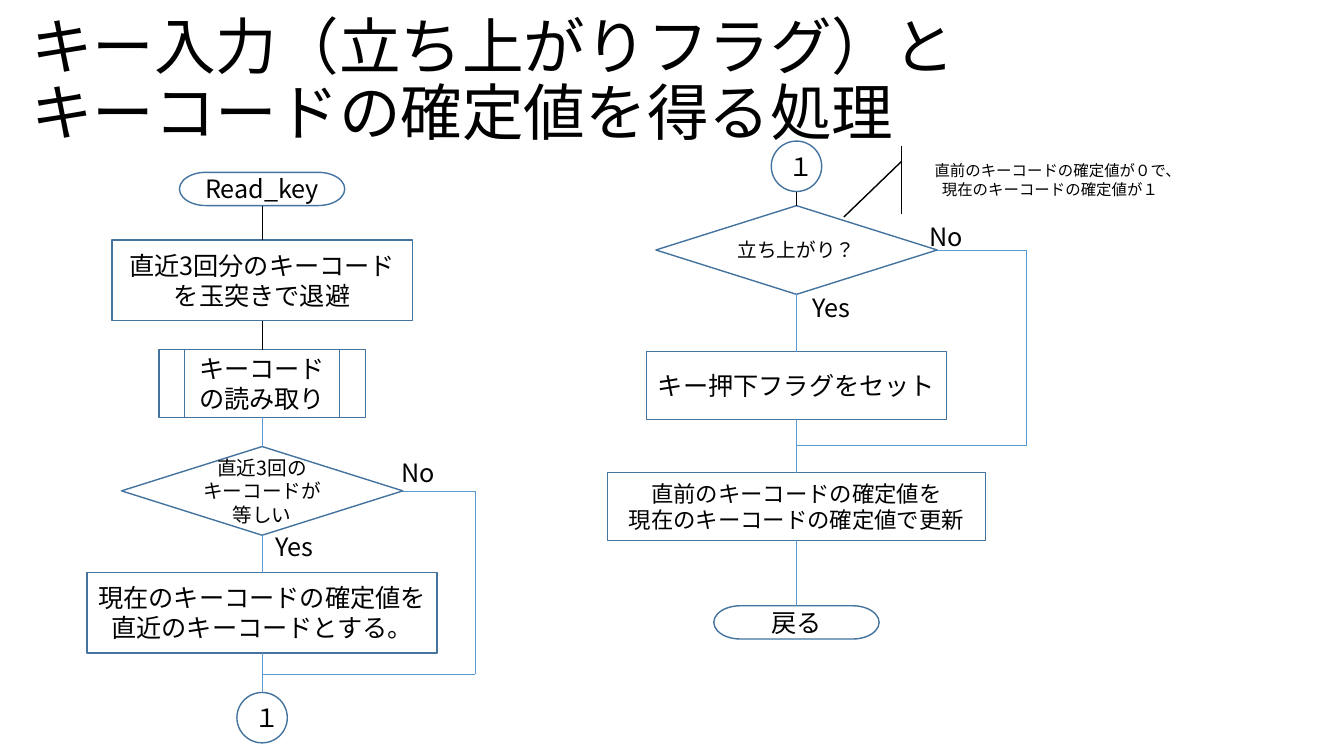
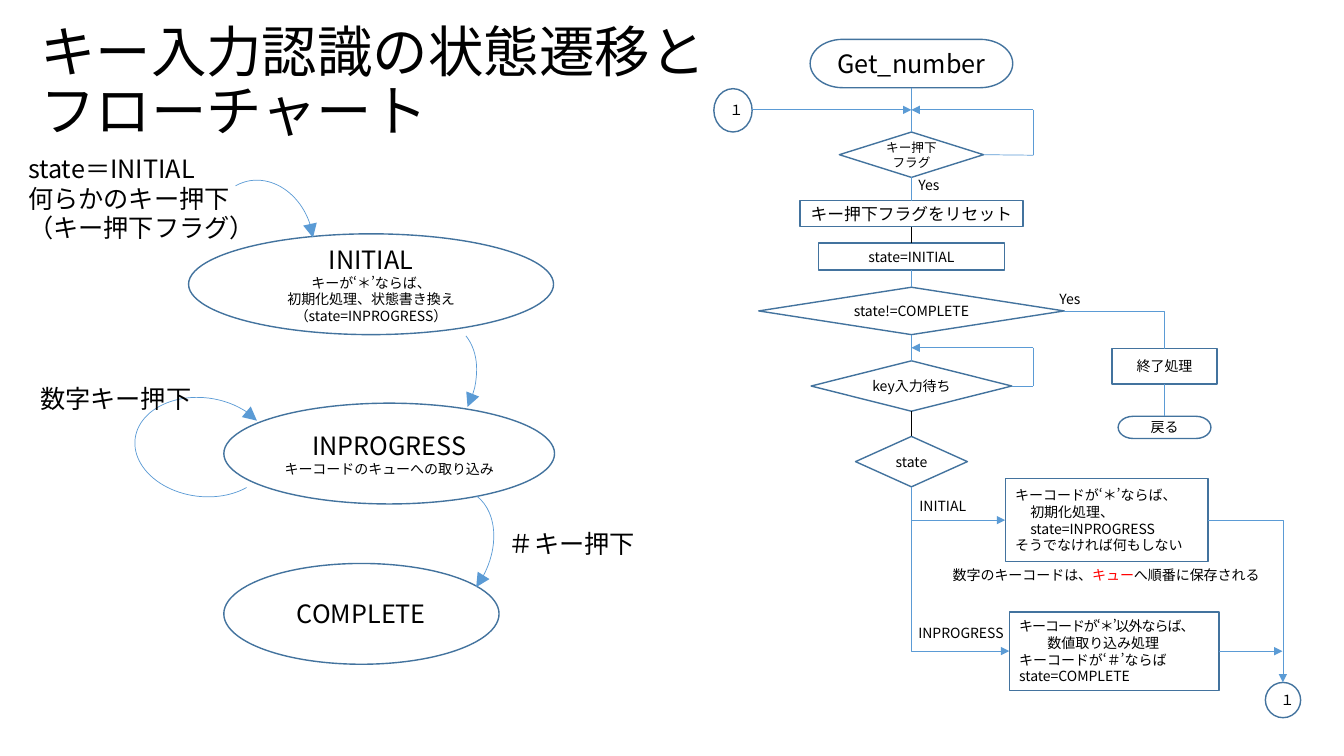
from collections import namedtuple
from dataclasses import dataclass
from itertools import pairwise

from lxml.etree import SubElement
from pptx import Presentation
from pptx.dml.color import RGBColor
from pptx.enum.shapes import MSO_CONNECTOR as Wire, MSO_SHAPE as Kind
from pptx.enum.text import MSO_ANCHOR as Anchor, MSO_AUTO_SIZE as Auto, PP_ALIGN as Align
from pptx.oxml.ns import qn
from pptx.util import Pt

SCALE = 9144
Box = namedtuple("Box", "x y w h")


class Theme:
    font, lang = "Noto Sans CJK JP", "ja-JP"
    ink, edge, wire, hot = "000000", "43739E", "5B9BD5", "FF0000"
    head, head_two = 44, 39.6
    main, mid, small, label = 18, 16, 14, 12
    note, fine, tiny = 11, 10, 9
    lead, tight = 1.19, 1.07
    border, thin = 1, 0.5


@dataclass(frozen=True)
class Line:
    text: str
    size: float = 0
    dent: int = 0
    hot: str = ""
    gap: int = 0


T = Theme
ROUND, STEP = Kind.FLOWCHART_TERMINATOR, Kind.FLOWCHART_PROCESS
CALL, TEST = Kind.FLOWCHART_PREDEFINED_PROCESS, Kind.FLOWCHART_DECISION
RING = Kind.FLOWCHART_CONNECTOR
TOP, LEFT, BASE, RIGHT = range(4)


def px(*vals):
    return [round(val * SCALE) for val in vals]


def apply(obj, vals):
    for key, val in vals.items():
        setattr(obj, key, val)


def add_run(para, text, size, tint, gap):
    run = para.add_run()
    run.text = text
    apply(run.font, {"size": Pt(size), "name": T.font})
    run.font.color.rgb = RGBColor.from_string(tint)
    props = run.font._element
    props.set("lang", T.lang)
    if gap:
        props.set("spc", str(gap))
    SubElement(props, qn("a:ea"), typeface=T.font)


def write(frame, text, size, align, lead=T.lead):
    lines = text.split("\n") if isinstance(text, str) else text
    for pos, line in enumerate(lines):
        if isinstance(line, str):
            line = Line(line)
        para = frame.add_paragraph() if pos else frame.paragraphs[0]
        pts = line.size or size
        apply(para, {"alignment": align, "line_spacing": Pt(round(pts * lead, 1))})
        if line.dent:
            props = para._p.get_or_add_pPr()
            props.set("marL", str(line.dent * SCALE))
            props.set("indent", "0")
        for part in line.text.partition(line.hot) if line.hot else [line.text]:
            add_run(para, part, pts, T.hot if part == line.hot else T.ink, line.gap)


def stroke(item, tint, width, head=False, tail=False, tip="med"):
    item.line.color.rgb = RGBColor.from_string(tint)
    item.line.width = Pt(width)
    line = item._element.spPr.find(qn("a:ln"))
    for tag, on in (("a:headEnd", head), ("a:tailEnd", tail)):
        if on:
            SubElement(line, qn(tag), type="triangle", w=tip, len=tip)


class Pen:
    def __init__(self, slide, box):
        self.pool = slide.shapes
        self.box = box

    def spot(self, x, y):
        return px(self.box.x + x, self.box.y + y)

    def plain(self, kind, x, y, w, h):
        item = self.pool.add_shape(kind, *self.spot(x, y), *px(w, h))
        item.shadow.inherit = False
        item.fill.background()
        return item

    def shape(self, kind, x, y, w, h, text="", size=T.main, align=Align.CENTER, tint=T.edge):
        item = self.plain(kind, x, y, w, h)
        stroke(item, tint, T.border)
        apply(item.text_frame, {"word_wrap": True, "vertical_anchor": Anchor.MIDDLE})
        write(item.text_frame, text, size, align)
        return item

    def text(self, x, y, w, h, text, size=T.main):
        item = self.pool.add_textbox(*self.spot(x, y), *px(w, h))
        apply(item.text_frame, {"word_wrap": False, "auto_size": Auto.SHAPE_TO_FIT_TEXT})
        write(item.text_frame, text, size, Align.LEFT)

    def arc(self, x, y, w, h, turn, start, stop):
        item = self.plain(Kind.ARC, x, y, w, h)
        item.rotation = turn
        item.adjustments[0], item.adjustments[1] = start, stop
        stroke(item, T.wire, T.thin, tail=True, tip="lg")

    def wire(self, start, stop, kind=Wire.STRAIGHT, root=None, goal=None, tint=T.wire, **tips):
        item = self.pool.add_connector(kind, *self.spot(*start), *self.spot(*stop))
        if root:
            item.begin_connect(*root)
        if goal:
            item.end_connect(*goal)
        stroke(item, tint, T.thin, **tips)
        SubElement(item._element.spPr, qn("a:effectLst"))
        return item

    def elbow(self, root, goal, **tips):
        item = self.wire((0, 0), (0, 0), Wire.ELBOW, root, goal, **tips)
        item._element.spPr.find(qn("a:prstGeom")).set("prst", "bentConnector2")

    def route(self, root, points, tip=False):
        legs = list(pairwise(points))
        for pos, (start, stop) in enumerate(legs):
            self.wire(start, stop, root=None if pos else root,
                      tail=tip and pos == len(legs) - 1)

    def column(self, axis, nodes, tints):
        items = [self.shape(kind, axis - w / 2, y, w, h, text, size)
                 for kind, y, w, h, text, size in nodes]
        for pos, tint in enumerate(tints):
            kind, y, _, h, *_ = nodes[pos]
            root = None if kind == RING else (items[pos], BASE)
            self.wire((axis, y + h), (axis, nodes[pos + 1][1]),
                      root=root, goal=(items[pos + 1], TOP), tint=tint)
        return items


def title(slide, box, text, size):
    item = slide.shapes.add_textbox(*px(*box))
    apply(item.text_frame, {"word_wrap": True, "vertical_anchor": Anchor.MIDDLE})
    write(item.text_frame, text, size, Align.LEFT, T.tight)


def read_flow(slide, box):
    pen = Pen(slide, box)
    axis = 180
    items = pen.column(axis, [
        (ROUND, 1, 164, 33, "Read_key", T.main),
        (STEP, 68, 298, 80, "直近3回分のキーコードを玉突きで退避", T.main),
        (CALL, 177, 205, 67, "キーコードの読み取り", T.main),
        (TEST, 273, 279, 88, "直近3回の\nキーコードが等しい", T.small),
        (STEP, 398, 347, 80, "現在のキーコードの確定値を直近のキーコードとする。", T.main),
        (RING, 517, 50, 50, "１", T.main),
    ], [T.ink] * 2 + [T.wire] * 3)
    pen.route((items[3], RIGHT), [(320, 317), (391, 317), (391, 499), (axis, 499)])
    pen.text(308, 279, 53, 40, "No")
    pen.text(183, 352, 63, 40, "Yes")


def rise_flow(slide, box):
    pen = Pen(slide, box)
    axis = 190
    items = pen.column(axis, [
        (RING, 0, 50, 50, "１", T.main),
        (TEST, 64, 279, 88, "立ち上がり？", T.small),
        (STEP, 209, 298, 67, "キー押下フラグをセット", T.main),
        (STEP, 329, 375, 67, "直前のキーコードの確定値を\n現在のキーコードの確定値で更新", T.mid),
        (ROUND, 461, 164, 33, "戻る", T.main),
    ], [T.ink] + [T.wire] * 3)
    hint = pen.shape(Kind.LINE_CALLOUT_1_ACCENT_BAR, 312, 5, 259, 67,
                     "直前のキーコードの確定値が０で、\n現在のキーコードの確定値が１", T.note, tint=T.ink)
    for pos, val in enumerate((0.23, -0.07, 1.05, -0.29)):
        hint.adjustments[pos] = val
    pen.route((items[1], RIGHT), [(330, 108), (418, 108), (418, 302), (axis, 302)])
    pen.text(312, 75, 53, 40, "No")
    pen.text(196, 145, 63, 40, "Yes")


def states(slide, box):
    pen = Pen(slide, box)
    for x, y, w, name, *more in (
        (169, 92, 362, "INITIAL", "キーが‘＊’ならば、", "初期化処理、状態書き換え", "（state=INPROGRESS）"),
        (204, 260, 328, "INPROGRESS", "キーコードのキューへの取り込み"),
        (204, 419, 273, "COMPLETE"),
    ):
        lines = [Line(name, T.main)] + [Line(text, T.fine) for text in more]
        pen.shape(Kind.OVAL, x, y, w, 100, lines)
    for arc in (
        (352, 176, 98, 135, 28.5, 169.31, 213.48),
        (369, 341, 98, 135, 28.5, 164.84, 8.78),
        (134, 236, 98, 135, 277.3, 75.2, 34.03),
        (192, 38, 100, 120, 342.9, 156.59, 8.78),
    ):
        pen.arc(*arc)
    pen.text(0, 7, 247, 101, "state＝INITIAL\n何らかのキー押下\n（キー押下フラグ）")
    pen.text(477, 379, 146, 40, "＃キー押下")
    pen.text(12, 236, 172, 40, "数字キー押下")


def get_flow(slide, box):
    pen = Pen(slide, box)
    axis, turn, exit_x = 204, 325, 572
    _, wait, _, _, test, key, pick = pen.column(axis, [
        (ROUND, 9, 201, 48, "Get_number", T.main),
        (TEST, 101, 143, 45, "キー押下フラグ", T.tiny),
        (STEP, 169, 221, 26, "キー押下フラグをリセット", T.label),
        (STEP, 211, 185, 27, "state=INITIAL", T.fine),
        (TEST, 255, 303, 47, "state!=COMPLETE", T.fine),
        (TEST, 328, 199, 50, "key入力待ち", T.fine),
        (TEST, 403, 111, 50, "state", T.fine),
    ], [T.wire] * 2 + [T.ink] + [T.wire] * 2 + [T.ink])
    done, _ = pen.column(455, [(STEP, 316, 104, 35, "終了処理", T.fine),
                               (ROUND, 383, 92, 22, "戻る", T.fine)], [T.wire])
    pen.shape(RING, 8, 58, 38, 43, "１", T.fine)
    out = pen.shape(RING, 555, 647, 35, 35, "１", T.fine)
    first = pen.shape(STEP, 297, 445, 201, 82, [
        "キーコードが‘＊’ならば、", Line("初期化処理、", dent=15),
        Line("state=INPROGRESS", dent=15), "そうでなければ何もしない"], T.fine, Align.LEFT)
    later = pen.shape(STEP, 301, 577, 208, 78, [
        Line("キーコードが‘＊’以外ならば、", gap=-70), Line("数値取り込み処理", dent=28),
        "キーコードが‘＃’ならば", "state=COMPLETE"], T.fine, Align.LEFT)
    later.text_frame.margin_right = 0
    for item, x, low, high in ((wait, 276, 124, 79), (key, 303, 353, 315)):
        pen.route((item, RIGHT), [(x, low), (turn, low), (turn, high), (axis, high)], True)
    pen.wire((46, 79), (axis, 79), tail=True)
    pen.wire((axis, 486), (297, 486), goal=(first, LEFT), tail=True)
    pen.wire((509, 616), (exit_x, 616), root=(later, RIGHT), tail=True)
    pen.elbow((first, RIGHT), (out, TOP), tail=True)
    pen.elbow((later, LEFT), (pick, BASE), head=True)
    pen.elbow((test, RIGHT), (done, TOP))
    for x, y, w, text in (
        (202, 459, 69, "INITIAL"), (201, 585, 110, "INPROGRESS"),
        (341, 253, 44, "Yes"), (201, 140, 44, "Yes"),
        (235, 527, 329, [Line("数字のキーコードは、キューへ順番に保存される", hot="キュー")]),
    ):
        pen.text(x, y, w, 27, text, T.fine)


def main():
    deck = Presentation()
    wide, high = px(1333, 750)
    apply(deck, {"slide_width": wide, "slide_height": high})
    blank = deck.slide_layouts[6]
    slide = deck.slides.add_slide(blank)
    title(slide, Box(21, 9, 1001, 145),
          "キー入力（立ち上がりフラグ）と\nキーコードの確定値を得る処理", T.head)
    read_flow(slide, Box(80, 170, 400, 570))
    rise_flow(slide, Box(600, 140, 580, 500))
    slide = deck.slides.add_slide(blank)
    title(slide, Box(30, 37, 695, 92), "キー入力認識の状態遷移と\nフローチャート", T.head_two)
    states(slide, Box(18, 140, 630, 530))
    get_flow(slide, Box(700, 30, 600, 690))
    deck.save("out.pptx")


if __name__ == "__main__":
    main()
